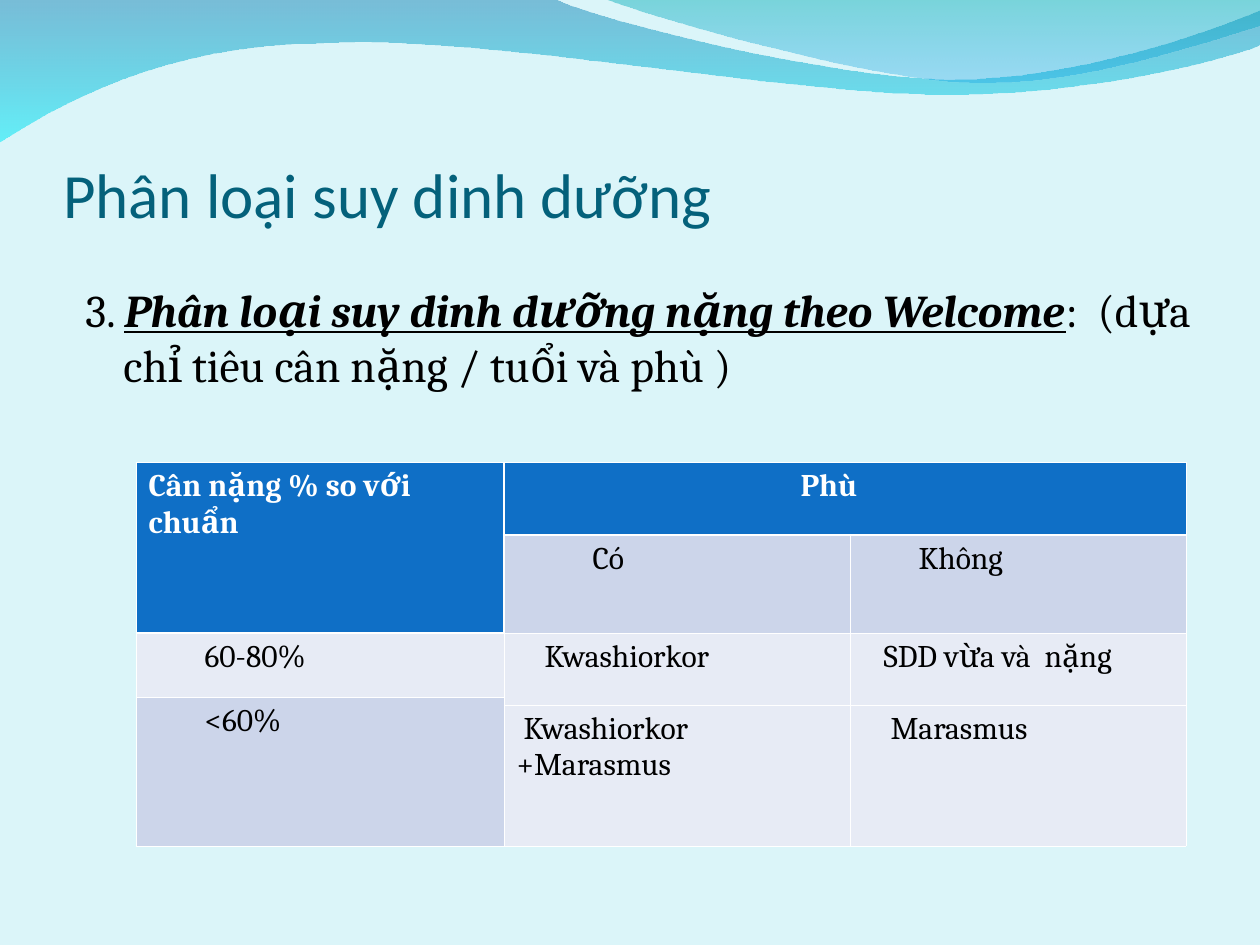
from lxml import etree
from pptx import Presentation
from pptx.dml.color import RGBColor
from pptx.enum.text import MSO_ANCHOR, PP_ALIGN
from pptx.oxml.ns import qn
from pptx.util import Pt

SCALE = 914400 / 126
BOTTOM = MSO_ANCHOR.BOTTOM
LEFT = PP_ALIGN.LEFT
TITLE_ONLY = 5
THIN, THICK = 0.45, 1.47
WHITE, BLACK = "FFFFFF", "000000"
HEADER, DARK_BAND, LIGHT_BAND = "0F6FC6", "CCD5EA", "E7EBF5"

COLUMN_WIDTHS = [368, 346, 336]
ROW_HEIGHTS = [73, 98, 64, 8, 141]
MERGES = [((0, 0), (1, 0)), ((0, 1), (0, 2)), ((2, 1), (3, 1)),
          ((2, 2), (3, 2)), ((3, 0), (4, 0))]
CELL_TEXTS = {
    (0, 0): (["Cân nặng % so với", "chuẩn"], 0, 0),
    (0, 1): (["Phù"], 284, 0),
    (1, 1): (["Có"], 76, 0),
    (1, 2): (["Không"], 56, 0),
    (2, 0): (["60-80%"], 56, 0),
    (2, 1): (["Kwashiorkor"], 28, 0),
    (2, 2): (["SDD vừa và  nặng"], 21, 0),
    (3, 0): (["<60%"], 56, 0),
    (4, 1): (["Kwashiorkor +Marasmus"], 0, 7),
    (4, 2): (["Marasmus"], 28, 0),
}
SIDES = {"a:lnL": (0, -1), "a:lnR": (0, 1), "a:lnT": (-1, 0), "a:lnB": (1, 0)}


def px(value):
    return round(value * SCALE)


def color(value):
    return RGBColor.from_string(value)


def place(shape, left, top, width, height):
    shape.left, shape.top = px(left), px(top)
    shape.width, shape.height = px(width), px(height)


def indent(paragraph, margin, first_line):
    properties = paragraph._p.get_or_add_pPr()
    properties.set("marL", str(px(margin)))
    properties.set("indent", str(px(first_line)))


def add_run(paragraph, text, size, font_name, font_color, bold=False, emphasis=False):
    run = paragraph.add_run()
    run.text = text
    font = run.font
    font.size, font.name = Pt(size), font_name
    font.bold, font.italic, font.underline = bold, emphasis, emphasis
    font.color.rgb = color(font_color)


def bend_segments(shape, segments):
    lines = list(shape._element.iter(qn("a:lnTo")))
    for line, segment in zip(lines, segments):
        if len(segment) == 3:
            line.tag = qn("a:cubicBezTo")
            for position, (x, y) in enumerate(segment[:2]):
                point = etree.Element(qn("a:pt"), x=str(px(x) - shape.left),
                                      y=str(px(y) - shape.top))
                line.insert(position, point)


def add_wave(slide, start, segments, stops):
    builder = slide.shapes.build_freeform(px(start[0]), px(start[1]), scale=1.0)
    ends = [(px(x), px(y)) for x, y in (segment[-1] for segment in segments)]
    builder.add_line_segments(ends, close=True)
    shape = builder.convert_to_shape()
    bend_segments(shape, segments)
    shape.shadow.inherit = False
    shape.line.fill.background()
    shape.fill.gradient()
    shape.fill.gradient_angle = 270
    for stop, (stop_color, opacity) in zip(shape.fill.gradient_stops, stops):
        stop.color.rgb = color(stop_color)
        for element in shape._element.spPr.iter(qn("a:srgbClr")):
            if element.get("val") == stop_color:
                etree.SubElement(element, qn("a:alpha"), val=str(opacity * 1000))


def add_waves(slide):
    add_wave(slide, (0, -1), [
        [(554, -1)],
        [(600, 21), (837, 79), (955, 79)],
        [(1074, 79), (1207, 33), (1260, 11)],
        [(1261, 45)],
        [(1239, 55), (1096, 96), (940, 94)],
        [(784, 94), (481, 35), (324, 43)],
        [(163, 44), (58, 105), (-1, 142)],
    ], [("0079AF", 45), ("00EBF8", 55)])
    add_wave(slide, (604, -1), [
        [(642, 14), (859, 78), (969, 82)],
        [(1079, 87), (1211, 40), (1260, 26)],
        [(1260, 0)],
    ], [("00ADB6", 45), ("009BE5", 30)])


def set_title(slide):
    title = slide.shapes.title
    slide.shapes._spTree.append(title._element)
    place(title, 63, 73, 1134, 158)
    frame = title.text_frame
    frame.word_wrap = True
    frame.vertical_anchor = BOTTOM
    frame.margin_left = frame.margin_right = frame.margin_bottom = 0
    paragraph = frame.paragraphs[0]
    paragraph.alignment = LEFT
    add_run(paragraph, "Phân loại suy dinh dưỡng", 36, "Calibri", "04617B")


def add_heading(slide):
    box = slide.shapes.add_textbox(px(73), px(210), px(1134), px(624))
    frame = box.text_frame
    frame.word_wrap = True
    frame.margin_top = px(72)
    paragraph = frame.paragraphs[0]
    indent(paragraph, 38, -38)
    for text, emphasis in [
        ("3. ", False),
        ("Phân loại suy dinh dưỡng nặng theo Welcome", True),
        (":  (dựa chỉ tiêu cân nặng / tuổi và phù )", False),
    ]:
        add_run(paragraph, text, 26, "Cambria", BLACK, emphasis, emphasis)


def cell_group(row, column):
    if not (0 <= row < len(ROW_HEIGHTS) and 0 <= column < len(COLUMN_WIDTHS)):
        return None
    if column == 0 and row < 2:
        return "weight"
    return "oedema" if row == 0 else "body"


def cell_fill(row, column):
    if cell_group(row, column) != "body":
        return HEADER
    return DARK_BAND if row == 1 or (column == 0 and row > 2) else LIGHT_BAND


def set_borders(cell, row, column):
    properties = cell._tc.get_or_add_tcPr()
    for tag, (down, right) in SIDES.items():
        neighbour = cell_group(row + down, column + right)
        width = THIN if neighbour in (None, cell_group(row, column)) else THICK
        line = etree.SubElement(properties, qn(tag), w=str(Pt(width)))
        fill = etree.SubElement(line, qn("a:solidFill"))
        etree.SubElement(fill, qn("a:srgbClr"), val=WHITE)


def write_cell(cell, lines, margin, first_line, is_header):
    frame = cell.text_frame
    for index, text in enumerate(lines):
        paragraph = frame.add_paragraph() if index else frame.paragraphs[0]
        indent(paragraph, margin, first_line)
        add_run(paragraph, text, 18, "Cambria", WHITE if is_header else BLACK, is_header)


def add_classification_table(slide):
    table = slide.shapes.add_table(
        len(ROW_HEIGHTS), len(COLUMN_WIDTHS), px(136), px(462),
        px(sum(COLUMN_WIDTHS)), px(sum(ROW_HEIGHTS))).table
    for column, width in zip(table.columns, COLUMN_WIDTHS):
        column.width = px(width)
    for row, height in zip(table.rows, ROW_HEIGHTS):
        row.height = px(height)
    for first, last in MERGES:
        table.cell(*first).merge(table.cell(*last))
    for row in range(len(ROW_HEIGHTS)):
        for column in range(len(COLUMN_WIDTHS)):
            cell = table.cell(row, column)
            set_borders(cell, row, column)
            cell.fill.solid()
            cell.fill.fore_color.rgb = color(cell_fill(row, column))
    for position, content in CELL_TEXTS.items():
        write_cell(table.cell(*position), *content, cell_group(*position) != "body")


def main():
    presentation = Presentation()
    presentation.slide_width, presentation.slide_height = px(1260), px(945)
    slide = presentation.slides.add_slide(presentation.slide_layouts[TITLE_ONLY])
    slide.background.fill.solid()
    slide.background.fill.fore_color.rgb = color("DBF5F9")
    add_waves(slide)
    set_title(slide)
    add_heading(slide)
    add_classification_table(slide)
    presentation.save("out.pptx")


if __name__ == "__main__":
    main()
